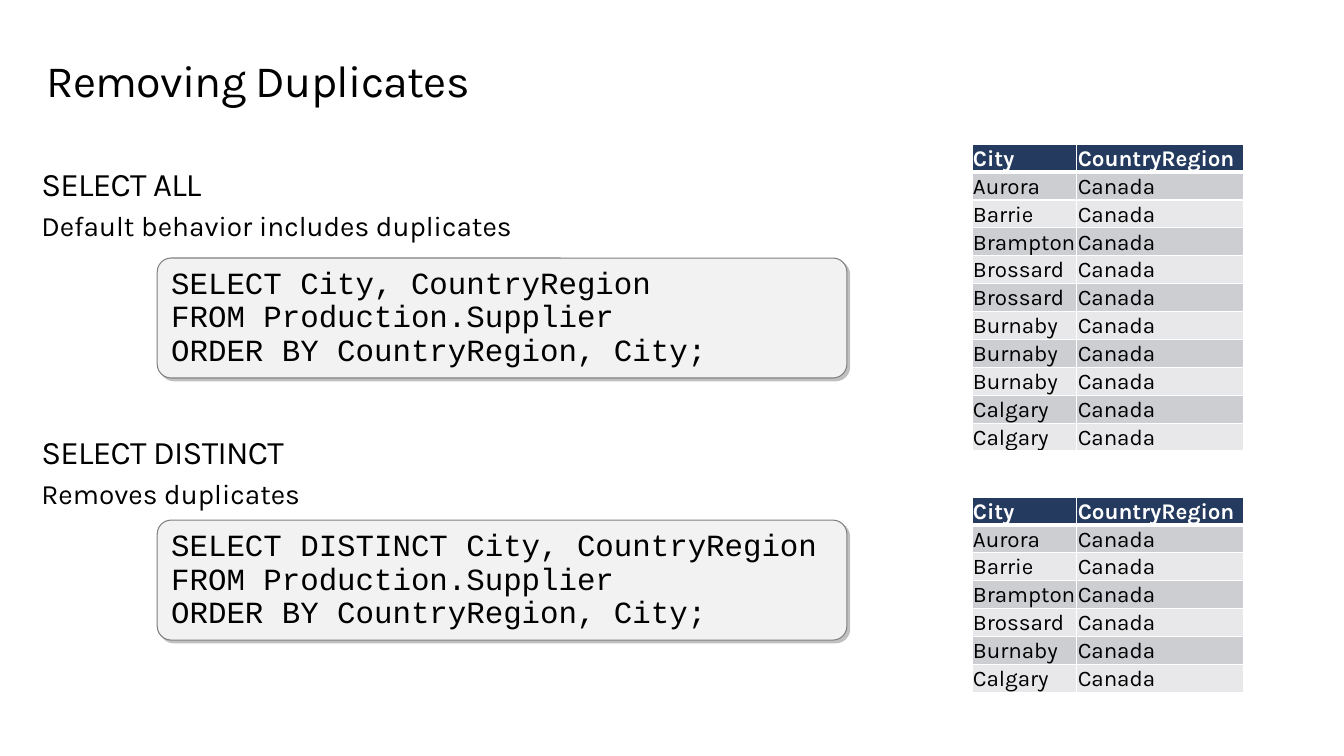
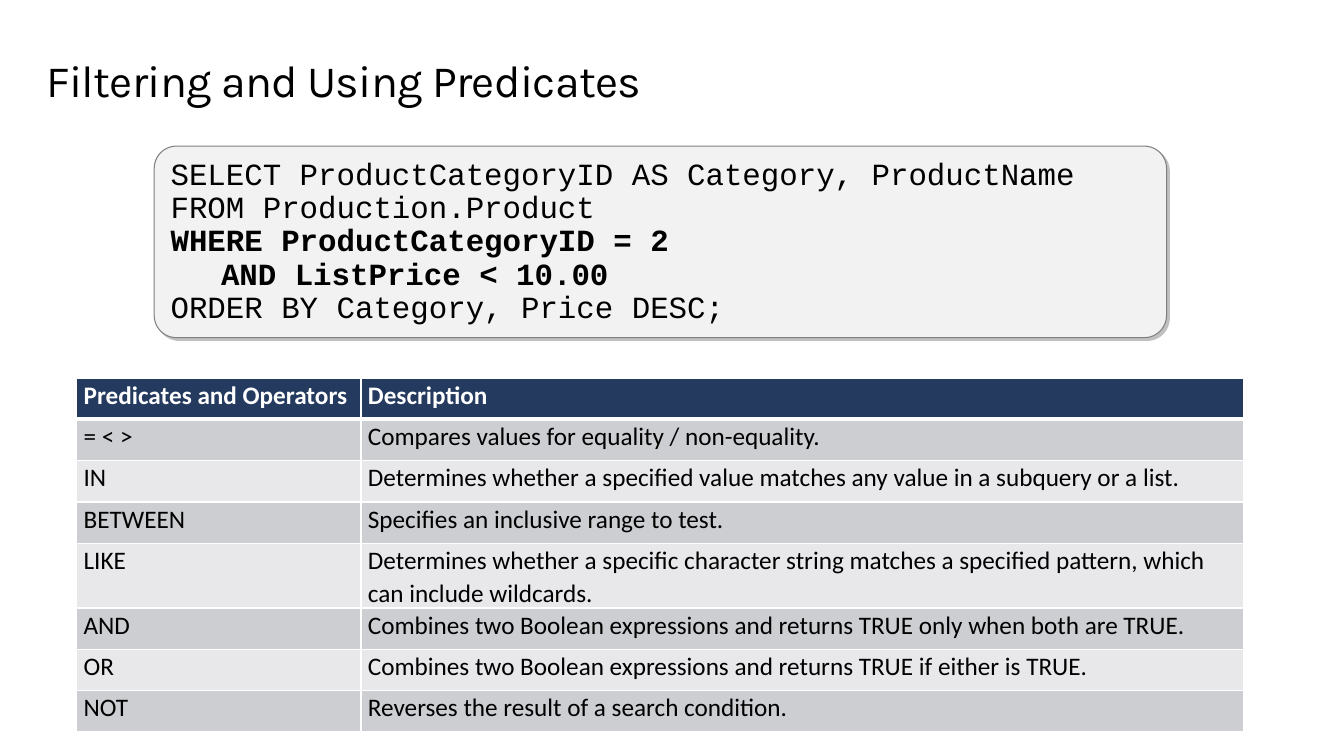
"""Build two slides on SQL duplicates and predicates."""
import lxml.etree
import pptx
import pptx.dml.color
import pptx.enum.shapes
import pptx.enum.text
import pptx.oxml
import pptx.oxml.ns
import pptx.util

PX = 9144
BLACK, WHITE, NAVY = "000000", "FFFFFF", "243A5E"
BANDS = ("CDCED2", "E8E8EA")
CODE_FILL, CODE_LINE, CODE_SHADOW = "F2F2F2", "808080", "C0C0C0"
SANS, MONO, GRID = "Karla", "Courier New", "Calibri"
TOP = pptx.enum.text.MSO_ANCHOR.TOP
MIDDLE = pptx.enum.text.MSO_ANCHOR.MIDDLE
BOTTOM = pptx.enum.text.MSO_ANCHOR.BOTTOM

ALL_QUERY = ["SELECT City, CountryRegion", "FROM Production.Supplier",
             "ORDER BY CountryRegion, City;"]
DISTINCT_QUERY = ["SELECT DISTINCT City, CountryRegion"] + ALL_QUERY[1:]
FILTER_QUERY = ["SELECT ProductCategoryID AS Category, ProductName",
                "FROM Production.Product", "WHERE ProductCategoryID = 2",
                "\tAND ListPrice < 10.00", "ORDER BY Category, Price DESC;"]
ALL_CITIES = ["Aurora", "Barrie", "Brampton", "Brossard", "Brossard",
              "Burnaby", "Burnaby", "Burnaby", "Calgary", "Calgary"]
PREDICATES = [
    ("Predicates and Operators", "Description"),
    ("= < >", "Compares values for equality / non-equality."),
    ("IN", "Determines whether a specified value matches any value in a subquery or a list."),
    ("BETWEEN", "Specifies an inclusive range to test."),
    ("LIKE", "Determines whether a specific character string matches a specified pattern, "
             "which can include wildcards."),
    ("AND", "Combines two Boolean expressions and returns TRUE only when both are TRUE."),
    ("OR", "Combines two Boolean expressions and returns TRUE if either is TRUE."),
    ("NOT", "Reverses the result of a search condition."),
]


def px(*lengths):
    """Turn px lengths into a list of EMU lengths."""
    return [pptx.util.Emu(length * PX) for length in lengths]


def color(value):
    """Turn a hex string into a colour."""
    return pptx.dml.color.RGBColor.from_string(value)


def add_element(parent, tag, **attributes):
    """Append a drawing element with the given attributes."""
    child = lxml.etree.SubElement(parent, pptx.oxml.ns.qn(tag))
    for name, value in attributes.items():
        child.set(name, str(value))
    return child


def add_span(para, text, font, size, tint=BLACK, bold=False, tracking=0):
    """Add one formatted run to a paragraph."""
    span = para.add_run()
    span.text = text
    span.font.name = font
    span.font.size = pptx.util.Pt(size)
    span.font.bold = bold
    span.font.color.rgb = color(tint)
    if tracking:
        span.font._element.set("spc", str(tracking))


def add_text_box(page, area, anchor=TOP):
    """Add an empty wrapping text box and return its frame."""
    frame = page.shapes.add_textbox(*px(*area)).text_frame
    frame.word_wrap = True
    frame.vertical_anchor = anchor
    frame.margin_left, frame.margin_top, frame.margin_right, frame.margin_bottom = px(0, 10, 16, 10)
    return frame


def add_page(deck, title):
    """Add a blank slide with the shared title."""
    page = deck.slides.add_slide(deck.slide_layouts[6])
    para = add_text_box(page, (46, 48, 1240, 74)).paragraphs[0]
    para.line_spacing = 0.9
    add_span(para, title, SANS, 32, tracking=-50)
    return page


def add_topic(page, top, heading, detail):
    """Add a heading with a line of detail below it."""
    frame = add_text_box(page, (41, top, 800, 96))
    add_span(frame.paragraphs[0], heading, SANS, 23.5, tracking=-50)
    para = frame.add_paragraph()
    para.space_before = pptx.util.Pt(3.9)
    add_span(para, detail, SANS, 20)


def add_code(page, area, lines, bold_lines=()):
    """Add a rounded code panel with a hard shadow."""
    panel = page.shapes.add_shape(pptx.enum.shapes.MSO_SHAPE.ROUNDED_RECTANGLE, *px(*area))
    panel.adjustments[0] = 0.116
    panel.fill.solid()
    panel.fill.fore_color.rgb = color(CODE_FILL)
    panel.line.color.rgb = color(CODE_LINE)
    panel.line.width = pptx.util.Pt(0.75)
    panel.shadow.inherit = False
    effects = panel._element.spPr.find(pptx.oxml.ns.qn("a:effectLst"))
    shadow = add_element(effects, "a:outerShdw", blurRad=0, dist=pptx.util.Pt(2.8),
                         dir=2700000, algn="ctr", rotWithShape=0)
    add_element(shadow, "a:srgbClr", val=CODE_SHADOW)
    frame = panel.text_frame
    frame.word_wrap = True
    frame.vertical_anchor = MIDDLE
    for index, line in enumerate(lines):
        para = frame.add_paragraph() if index else frame.paragraphs[0]
        tabs = add_element(para._p.get_or_add_pPr(), "a:tabLst")
        add_element(tabs, "a:tab", pos=px(50)[0], algn="l")
        para.alignment = pptx.enum.text.PP_ALIGN.LEFT
        para.line_spacing = 0.9
        add_span(para, line, MONO, 22, bold=index in bold_lines)


def set_borders(cell, top, bottom):
    """Give a cell white borders of the given top and bottom widths."""
    properties = cell._tc.get_or_add_tcPr()
    for tag, width in (("a:lnL", 1), ("a:lnR", 1), ("a:lnT", top), ("a:lnB", bottom)):
        border = add_element(properties, tag, w=pptx.util.Pt(width))
        add_element(add_element(border, "a:solidFill"), "a:srgbClr", val=WHITE)


def add_grid(page, left, top, widths, row_height, rows, font, size, margins,
             anchor=TOP, spacing=None):
    """Add a table with a navy header and banded rows."""
    area = px(left, top, sum(widths), row_height * len(rows))
    table = page.shapes.add_table(len(rows), len(widths), *area).table
    table.horz_banding = False
    for column, width in zip(table.columns, px(*widths)):
        column.width = width
    for row, texts in enumerate(rows):
        header = row == 0
        table.rows[row].height = px(row_height)[0]
        for column, text in enumerate(texts):
            cell = table.cell(row, column)
            set_borders(cell, 3 if row == 1 else 1, 3 if header else 1)
            cell.fill.solid()
            cell.fill.fore_color.rgb = color(NAVY if header else BANDS[(row - 1) % 2])
            cell.margin_left, cell.margin_top, cell.margin_right, cell.margin_bottom = px(*margins)
            cell.vertical_anchor = anchor
            para = cell.text_frame.paragraphs[0]
            para.line_spacing = spacing
            add_span(para, text, font, size, WHITE if header else BLACK, header)


def add_cities(page, top, cities):
    """Add a table of Canadian cities."""
    rows = [("City", "CountryRegion")] + [(city, "Canada") for city in cities]
    add_grid(page, 964, top, (104, 165), 27, rows, SANS, 16, (1, 1, 1, 0), BOTTOM)


def add_duplicates_page(deck):
    """Add the slide that compares ALL with DISTINCT."""
    page = add_page(deck, "Removing Duplicates")
    add_topic(page, 152, "SELECT ALL", "Default behavior includes duplicates")
    add_topic(page, 418, "SELECT DISTINCT", "Removes duplicates")
    add_code(page, (156, 256, 684, 119), ALL_QUERY)
    add_code(page, (156, 516, 684, 119), DISTINCT_QUERY)
    add_cities(page, 143, ALL_CITIES)
    add_cities(page, 493, list(dict.fromkeys(ALL_CITIES)))


def add_predicates_page(deck):
    """Add the slide that lists the predicates."""
    page = add_page(deck, "Filtering and Using Predicates")
    add_grid(page, 76, 375, (282, 875), 41, PREDICATES, GRID, 18, (7, 0, 7, 0), spacing=1.07)
    add_code(page, (153, 145, 1004, 190), FILTER_QUERY, bold_lines=(2, 3))


def main():
    """Build and save the deck."""
    deck = pptx.Presentation()
    deck.slide_width, deck.slide_height = px(1333, 750)
    add_duplicates_page(deck)
    add_predicates_page(deck)
    deck.save("out.pptx")


if __name__ == "__main__":
    main()
